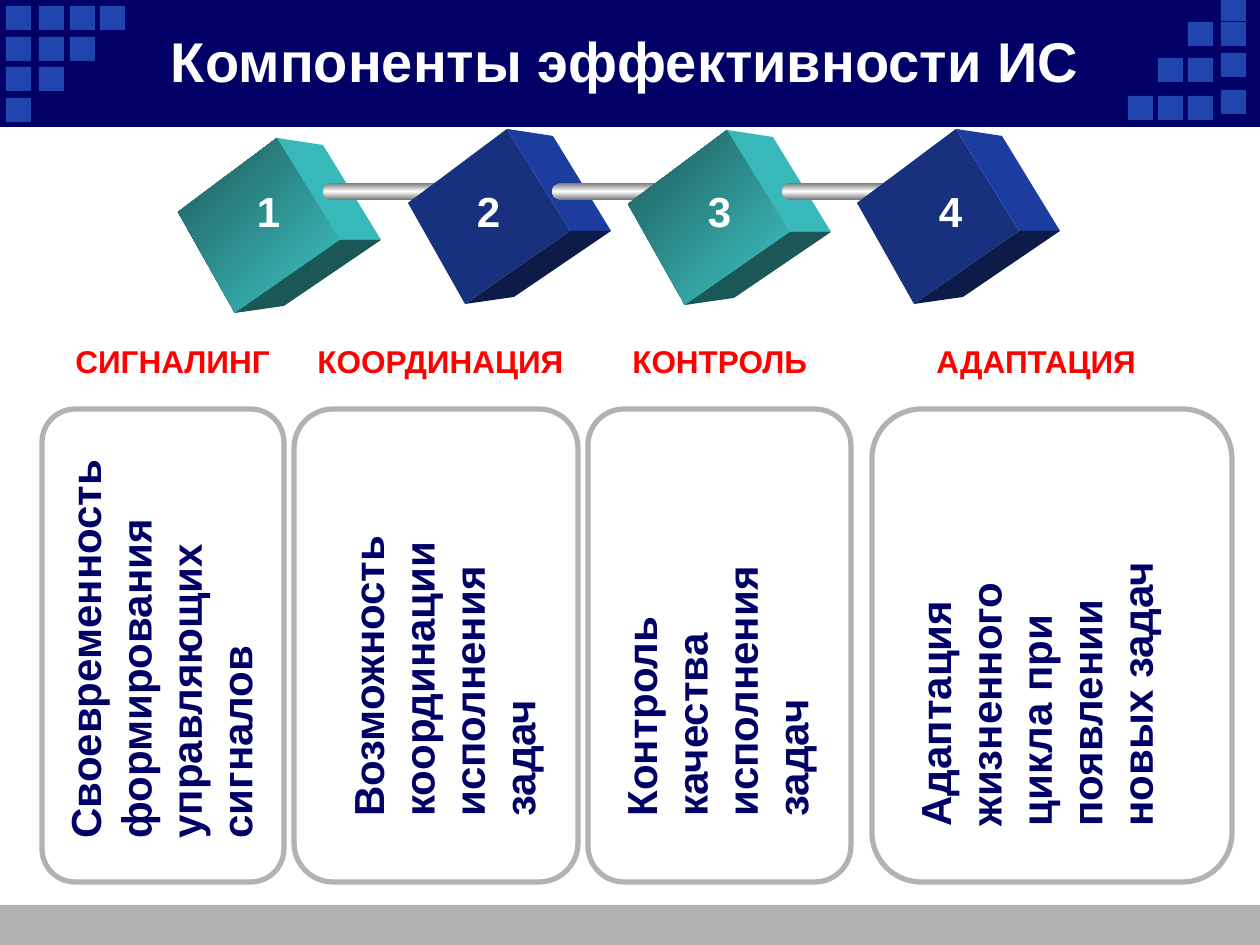
from copy import deepcopy
from pptx import Presentation
from pptx.dml.color import RGBColor
from pptx.enum.shapes import MSO_SHAPE as SHAPE
from pptx.enum.text import MSO_ANCHOR as ANCHOR, PP_ALIGN as ALIGN
from pptx.oxml.ns import qn
from pptx.util import Emu, Pt

PX = 914400 / 126
NAVY, BLUE, GRAY, WHITE, RED = "000066", "2045AE", "B2B2B2", "FFFFFF", "FF0000"
TITLE = "Компоненты эффективности ИС"
ROD = ("767676", "FFFFFF", "767676")
TEAL_CUBE = (("1F5A5A", "3DC5C5"), "38B8B8", "1C5757")
BLUE_CUBE = ("18317F", "1D3CA0", "0D1B48")
# front, side and bottom faces are given relative to the left corner of the cube
FACES = [
    [(0, 0), (99, -74), (162, 28), (57, 101)],
    [(99, -74), (145, -67), (203, 28), (162, 28)],
    [(162, 28), (203, 28), (106, 94), (57, 101)],
]
CUBES = [
    ("1", 178, 212, 242, TEAL_CUBE),
    ("2", 408, 203, 462, BLUE_CUBE),
    ("3", 628, 204, 693, TEAL_CUBE),
    ("4", 857, 203, 924, BLUE_CUBE),
]
RODS = [(323, 116), (552, 116), (782, 153)]
LABELS = [
    ("СИГНАЛИНГ", 63, 242),
    ("КООРДИНАЦИЯ", 305, 273),
    ("КОНТРОЛЬ", 620, 242),
    ("АДАПТАЦИЯ", 924, 242),
]
PANELS = [(42, 242), (294, 284), (588, 263), (872, 360)]
DETAILS = [
    ("Своевременность формирования управляющих сигналов", 53, 420, 229, 431),
    ("Возможность координации исполнения задач", 336, 472, 229, 357),
    ("Контроль качества исполнения задач", 609, 451, 229, 378),
    ("Адаптация жизненного цикла при появлении новых задач", 903, 451, 280, 388),
]
LEFT_TILES = {6: (6, 37, 67, 98), 39: (6, 37, 67), 70: (6, 37), 100: (6,)}
RIGHT_TILES = {1221: (-3, 22, 53, 90), 1188: (22, 58, 96), 1158: (58, 96), 1128: (96,)}

prs = Presentation()
prs.slide_width, prs.slide_height = Emu(9144000), Emu(6858000)
shapes = prs.slides.add_slide(prs.slide_layouts[6]).shapes


def px(*values):
    """Turn px lengths into EMU."""
    return [Emu(round(v * PX)) for v in values]


def rgb(color):
    """Turn a hex string into a colour."""
    return RGBColor.from_string(color)


def paint(s, fill=None, line=None, width=1, angle=90):
    """Set the fill (none, solid or gradient) and the line of a shape."""
    s.shadow.inherit = False
    if fill is None:
        s.fill.background()
    elif isinstance(fill, str):
        s.fill.solid()
        s.fill.fore_color.rgb = rgb(fill)
    else:
        s.fill.gradient()
        s.fill.gradient_angle = angle
        stops = s._element.spPr.find(".//" + qn("a:gsLst"))
        for _ in fill[2:]:
            stops.insert(1, deepcopy(stops[0]))
        for i, (stop, color) in enumerate(zip(s.fill.gradient_stops, fill)):
            stop.position = i / (len(fill) - 1)
            stop.color.rgb = rgb(color)
    if line:
        s.line.color.rgb = rgb(line)
        s.line.width = Pt(width)
    else:
        s.line.fill.background()
    return s


def add_shape(kind, x, y, w, h, **style):
    """Add a painted preset shape."""
    return paint(shapes.add_shape(kind, *px(x, y, w, h)), **style)


def add_face(points, fill):
    """Add one face of a cube."""
    builder = shapes.build_freeform(*points[0], scale=PX)
    builder.add_line_segments(points[1:], close=True)
    paint(builder.convert_to_shape(), fill, angle=315)


def add_text(text, x, y, w, h, size=24, color=NAVY, align=ALIGN.LEFT,
             anchor=ANCHOR.TOP, vert=None):
    """Add a text box with one bold paragraph."""
    tf = shapes.add_textbox(*px(x, y, w, h)).text_frame
    tf.word_wrap = True
    tf.vertical_anchor = anchor
    if vert:
        tf._txBody.bodyPr.set("vert", vert)
    p = tf.paragraphs[0]
    p.alignment = align
    r = p.add_run()
    r.text = text
    r.font.name, r.font.size, r.font.bold = "Arial", Pt(size), True
    r.font.color.rgb = rgb(color)


add_shape(SHAPE.RECTANGLE, 0, 905, 1260, 40, fill=GRAY)
add_shape(SHAPE.RECTANGLE, 0, 0, 1260, 126, fill=NAVY, line=NAVY, width=0.75)
for tiles in (LEFT_TILES, RIGHT_TILES):
    for x, rows in tiles.items():
        for y in rows:
            add_shape(SHAPE.RECTANGLE, x, y, 25, 24, fill=BLUE)
add_text(TITLE, 116, 21, 1018, 78, size=32, color=WHITE, align=ALIGN.CENTER, anchor=ANCHOR.MIDDLE)

for x, w in PANELS:
    panel = add_shape(SHAPE.ROUNDED_RECTANGLE, x, 409, w, 473, line=GRAY, width=3)
    panel.adjustments[0] = 0.137

for i, (number, x, y, text_x, colors) in enumerate(CUBES):
    for face, fill in zip(FACES, colors):
        add_face([(x + dx, y + dy) for dx, dy in face], fill)
    if i < len(RODS):
        rod_x, rod_w = RODS[i]
        add_shape(SHAPE.OVAL, rod_x, 183, 22, 17, fill=ROD)
        add_shape(SHAPE.RECTANGLE, rod_x + 11, 183, rod_w - 11, 17, fill=ROD)

for text, *box in DETAILS:
    add_text(text, *box, vert="vert270")
for number, x, y, text_x, colors in CUBES:
    add_text(number, text_x, 179, 53, 63, color=WHITE, align=ALIGN.CENTER)
for text, x, w in LABELS:
    add_text(text, x, 336, w, 50, size=18, color=RED)

prs.save("out.pptx")
